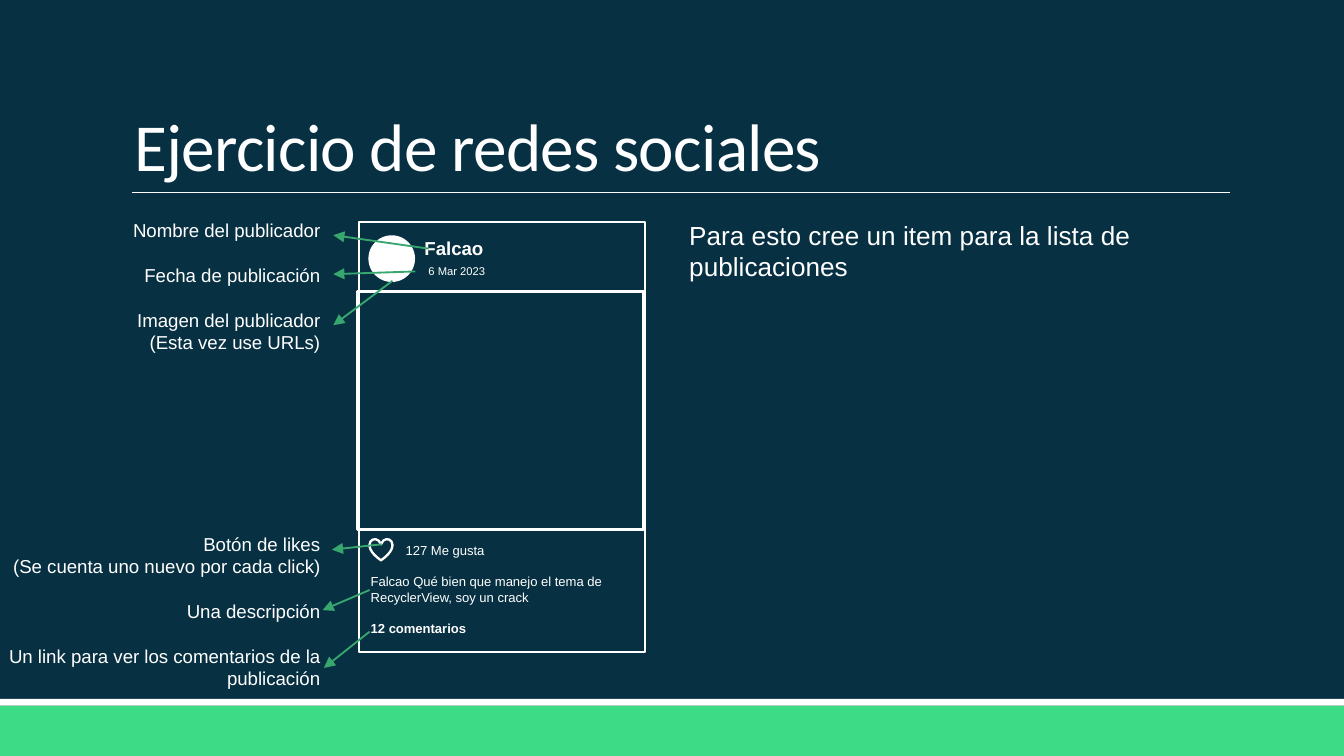
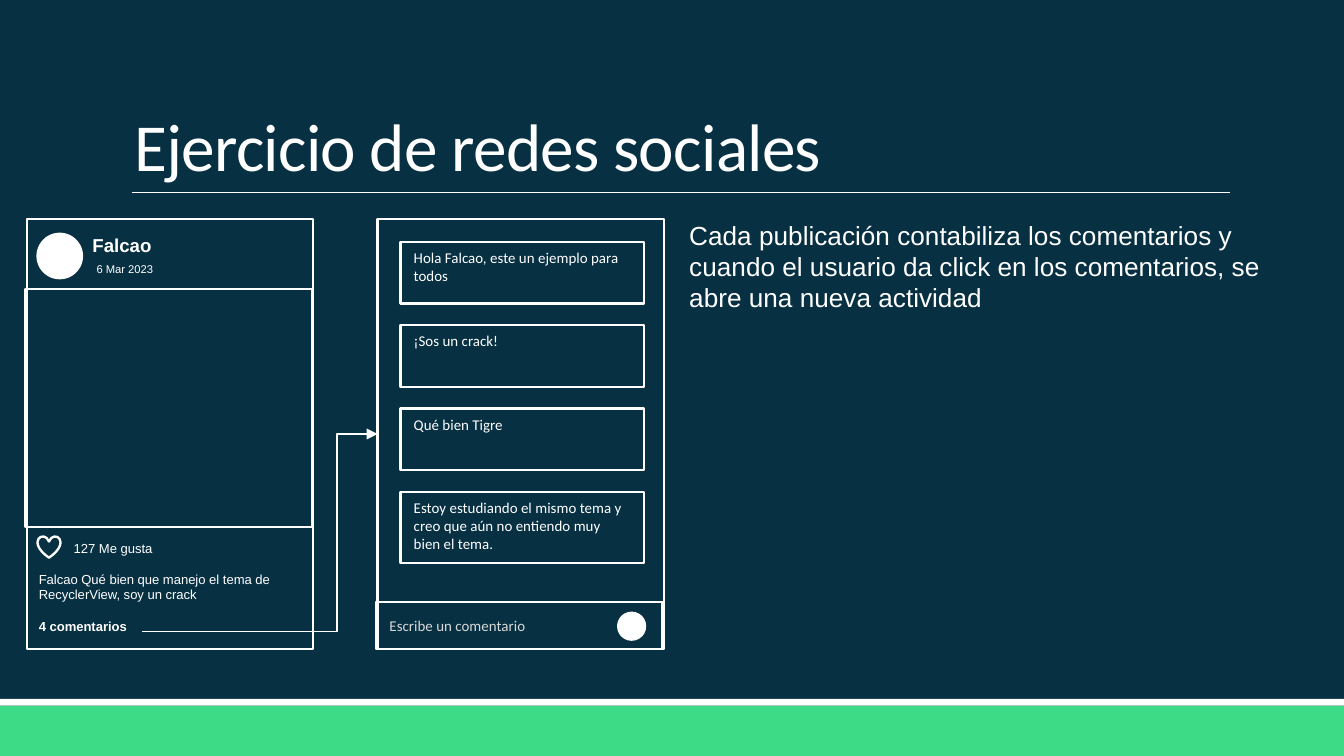
from pptx import Presentation
from pptx.dml.color import RGBColor
from pptx.enum.shapes import MSO_CONNECTOR, MSO_SHAPE
from pptx.enum.text import MSO_ANCHOR, MSO_AUTO_SIZE, PP_ALIGN
from pptx.oxml.ns import qn
from pptx.oxml.xmlchemy import OxmlElement
from pptx.util import Pt

PX = 9144
WIDTH = 1000
RECT, OVAL, HEART = MSO_SHAPE.RECTANGLE, MSO_SHAPE.OVAL, MSO_SHAPE.HEART
STRAIGHT, ELBOW = MSO_CONNECTOR.STRAIGHT, MSO_CONNECTOR.ELBOW
TOP, MIDDLE, BOTTOM = MSO_ANCHOR.TOP, MSO_ANCHOR.MIDDLE, MSO_ANCHOR.BOTTOM
LEFT, RIGHT = PP_ALIGN.LEFT, PP_ALIGN.RIGHT
FIT, FIXED = MSO_AUTO_SIZE.SHAPE_TO_FIT_TEXT, MSO_AUTO_SIZE.NONE
COLORS = {"night": "073042", "green": "3DDB85", "arrow": "37A76F",
          "white": "FFFFFF", "hint": "D9D9D9"}
LABEL_LINE = 12
LABELS = [
    (0, "Nombre del publicador"),
    (1, "Fecha de publicación"),
    (1, "Imagen del publicador"),
    (0, "(Esta vez use URLs)"),
    (8, "Botón de likes"),
    (0, "(Se cuenta uno nuevo por cada click)"),
    (1, "Una descripción"),
    (1, "Un link para ver los comentarios de la publicación"),
]
LABEL_ARROWS = [
    (292, 209, 248, 242), (319, 185, 248, 175), (309, 202, 248, 204),
    (284, 405, 247, 409), (275, 439, 240, 454), (275, 470, 241, 497),
]
COMMENTS = [
    ("Hola Falcao, este un ejemplo para todos", 46),
    ("¡Sos un crack!", 46),
    ("Qué bien Tigre", 46),
    ("Estoy estudiando el mismo tema y creo que aún no entiendo muy bien el tema.", 53),
]


class Slides:
    """Holds the deck style and draws elements on the current page."""

    def __init__(self):
        self.deck = Presentation()
        self.deck.slide_width = WIDTH * PX
        self.deck.slide_height = WIDTH * PX * 9 // 16
        self.page = None

    def color(self, name):
        return RGBColor.from_string(COLORS[name])

    def scaled(self, lengths):
        return [length * PX for length in lengths]

    def add_page(self, title):
        self.page = self.deck.slides.add_slide(self.deck.slide_layouts[6])
        backdrop = self.page.background.fill
        backdrop.solid()
        backdrop.fore_color.rgb = self.color("night")
        self.shape(RECT, (0, 525, WIDTH, 38), fill="green", line=None)
        self.shape(RECT, (0, 520, WIDTH, 5), fill="white", line=None)
        self.connector((98, 143, 915, 143), "white", 0.5)
        box = self.text((90, 24, 825, 119), [(0, title)], 36, font="Calibri",
                        anchor=BOTTOM, fit=FIXED)
        para = box.text_frame.paragraphs[0]
        para.line_spacing = 0.85
        para.runs[0].font._element.set("spc", "-40")

    def shape(self, kind, place, fill=None, line="white"):
        shape = self.page.shapes.add_shape(kind, *self.scaled(place))
        shape.shadow.inherit = False
        if fill:
            shape.fill.solid()
            shape.fill.fore_color.rgb = self.color(fill)
        else:
            shape.fill.background()
        if line:
            shape.line.color.rgb = self.color(line)
            shape.line.width = Pt(1.25)
        else:
            shape.line.fill.background()
        return shape

    def connector(self, ends, color, width, kind=STRAIGHT, arrow=False, bend=None):
        line = self.page.shapes.add_connector(kind, *self.scaled(ends))
        line.line.color.rgb = self.color(color)
        line.line.width = Pt(width)
        properties = line.element.spPr
        if arrow:
            tail = OxmlElement("a:tailEnd")
            tail.set("type", "triangle")
            properties.find(qn("a:ln")).append(tail)
        if bend:
            guide = OxmlElement("a:gd")
            guide.set("name", "adj1")
            guide.set("fmla", f"val {bend}")
            properties.find(qn("a:prstGeom")).find(qn("a:avLst")).append(guide)
        properties.append(OxmlElement("a:effectLst"))

    def set_text(self, box, lines, size, color="white", bold=False, font="Arial",
                 align=LEFT, anchor=TOP, fit=FIXED):
        frame = box.text_frame
        frame_format = {"word_wrap": True, "vertical_anchor": anchor, "auto_size": fit}
        for name, value in frame_format.items():
            setattr(frame, name, value)
        for index, (gap, words) in enumerate(lines):
            para = frame.add_paragraph() if index else frame.paragraphs[0]
            para.alignment = align
            para.space_before = Pt(gap * LABEL_LINE)
            span = para.add_run()
            span.text = words
            span_format = {"name": font, "size": Pt(size), "bold": bold}
            for name, value in span_format.items():
                setattr(span.font, name, value)
            span.font.color.rgb = self.color(color)

    def text(self, place, lines, size, fit=FIT, **style):
        box = self.page.shapes.add_textbox(*self.scaled(place))
        self.set_text(box, lines, size, fit=fit, **style)
        return box

    def card(self, place, words, **style):
        self.set_text(self.shape(RECT, place), [(0, words)], 8, font="Calibri", **style)

    def post(self, left, top, comments):
        self.shape(RECT, (left, top, 213, 320))
        self.shape(OVAL, (left + 8, top + 11, 33, 33), fill="white")
        self.shape(HEART, (left + 8, top + 236, 17, 16))
        self.shape(RECT, (left - 1, top + 52, 213, 177))
        texts = [
            (25, 234, 155, 22, "127 Me gusta", 7, False),
            (39, 6, 147, 27, "Falcao", 10, True),
            (42, 27, 147, 20, "6 Mar 2023", 6, False),
            (-1, 257, 205, 34,
             "Falcao Qué bien que manejo el tema de RecyclerView, soy un crack", 7, False),
            (-1, 292, 205, 22, comments, 7, True),
        ]
        for x, y, width, height, words, size, bold in texts:
            self.text((left + x, top + y, width, height), [(0, words)], size, bold=bold)

    def explanation(self, words, height):
        self.text((503, 158, 465, height), [(0, words)], 14)


def draw_post_parts(slides):
    slides.add_page("Ejercicio de redes sociales")
    slides.text((-35, 158, 283, 387), LABELS, 10, align=RIGHT)
    slides.post(267, 165, "12 comentarios")
    for ends in LABEL_ARROWS:
        slides.connector(ends, "arrow", 1, arrow=True)
    slides.explanation("Para esto cree un item para la lista de publicaciones", 57)


def draw_comments(slides):
    slides.add_page("Ejercicio de redes sociales")
    slides.explanation("Cada publicación contabiliza los comentarios y cuando el usuario "
                       "da click en los comentarios, se abre una nueva actividad", 81)
    slides.post(20, 163, "4 comentarios")
    slides.shape(RECT, (281, 163, 213, 320))
    for index, (words, height) in enumerate(COMMENTS):
        slides.card((298, 180 + 62 * index, 181, height), words)
    slides.connector((106, 470, 281, 323), "white", 1, kind=ELBOW, arrow=True, bend=82900)
    slides.card((280, 448, 213, 35), "Escribe un comentario", color="hint", anchor=MIDDLE)
    slides.shape(OVAL, (460, 456, 20, 20), fill="white")


def main():
    slides = Slides()
    draw_post_parts(slides)
    draw_comments(slides)
    slides.deck.save("out.pptx")


if __name__ == "__main__":
    main()
